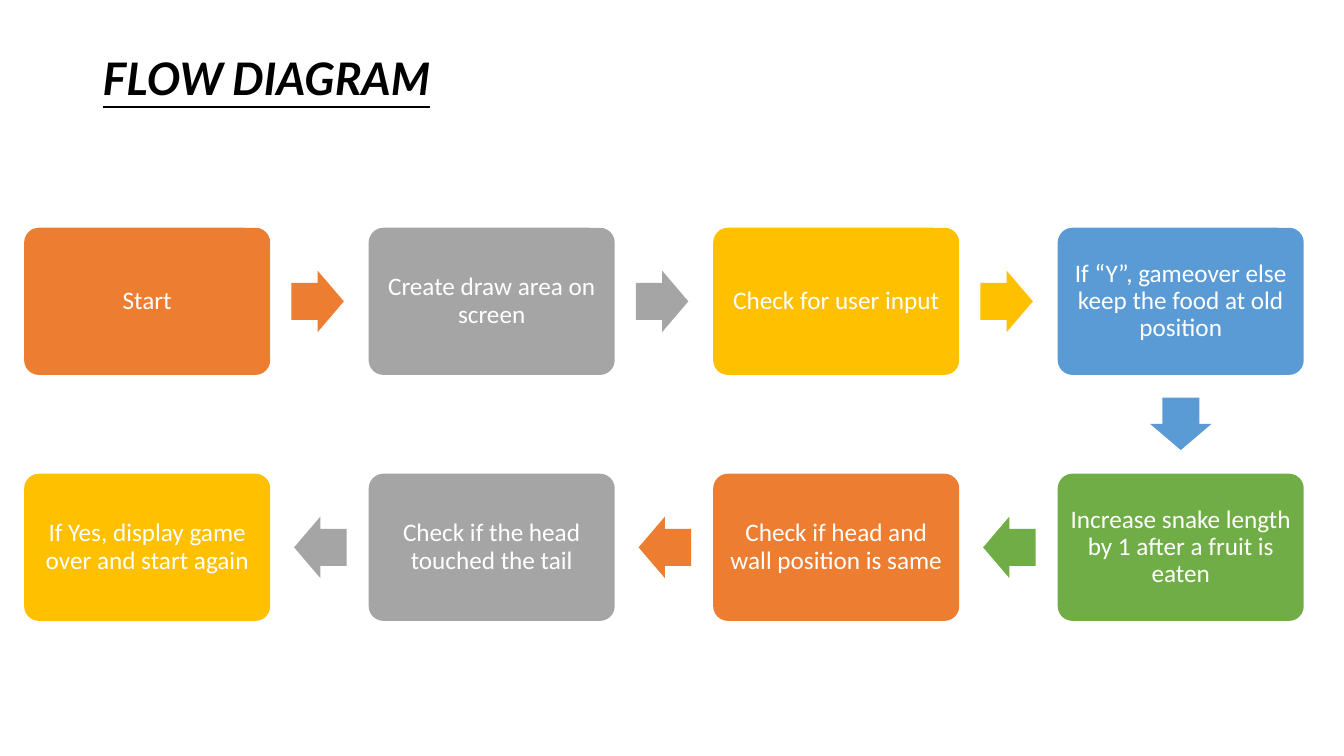
"""Build the flow diagram slide: eight steps that run right, down, then back left."""
from pptx import Presentation
from pptx import util as u
from pptx.dml import color
from pptx.enum import shapes, text

COLORS = {
    "orange": "ED7D31", "gray": "A5A5A5", "gold": "FFC000",
    "blue": "5B9BD5", "green": "70AD47", "white": "FFFFFF", "black": "000000",
}
STEPS = [
    ("Start", "orange"),
    ("Create draw area on screen", "gray"),
    ("Check for user input", "gold"),
    ("If “Y”, gameover else keep the food at old position", "blue"),
    ("Increase snake length by 1 after a fruit is eaten", "green"),
    ("Check if head and wall position is same", "orange"),
    ("Check if the head touched the tail", "gray"),
    ("If Yes, display game over and start again", "gold"),
]
COLUMNS = 4
LEFT, TOP = 0.24, 2.26
COLUMN_STEP, ROW_STEP = 3.417, 2.44
STEP_W, STEP_H = 2.44, 1.46
ARROW_W, ARROW_H = 0.52, 0.61


def add_filled(kind, left, top, width, height, fill, adjustments):
    filled = slide.shapes.add_shape(
        kind, u.Inches(left), u.Inches(top), u.Inches(width), u.Inches(height))
    filled.shadow.inherit = False
    filled.fill.solid()
    filled.fill.fore_color.rgb = color.RGBColor.from_string(COLORS[fill])
    filled.line.fill.background()
    for index, value in enumerate(adjustments):
        filled.adjustments[index] = value
    return filled


def write(frame, words, font_name, size, ink):
    frame.word_wrap = True
    frame.vertical_anchor = text.MSO_ANCHOR.MIDDLE
    frame.text = words
    paragraph = frame.paragraphs[0]
    paragraph.line_spacing = 0.9
    font = paragraph.runs[0].font
    font.name = font_name
    font.size = u.Pt(size)
    font.color.rgb = color.RGBColor.from_string(COLORS[ink])
    return paragraph


deck = Presentation()
deck.slide_width, deck.slide_height = u.Inches(13.33), u.Inches(7.5)
slide = deck.slides.add_slide(deck.slide_layouts[6])

heading = slide.shapes.add_textbox(
    u.Inches(0.92), u.Inches(0.4), u.Inches(11.5), u.Inches(0.81))
heading_font = write(heading.text_frame, "FLOW DIAGRAM", "Lato", 32, "black").runs[0].font
heading_font.bold = heading_font.italic = heading_font.underline = True

for number, (words, fill) in enumerate(STEPS):
    row, place = divmod(number, COLUMNS)
    column = COLUMNS - 1 - place if row else place
    left = LEFT + column * COLUMN_STEP
    top = TOP + row * ROW_STEP
    step = add_filled(shapes.MSO_SHAPE.ROUNDED_RECTANGLE,
                      left, top, STEP_W, STEP_H, fill, [0.1])
    frame = step.text_frame
    frame.margin_left = frame.margin_right = u.Inches(0.07)
    frame.margin_top = frame.margin_bottom = u.Inches(0.07)
    write(frame, words, "Calibri", 18, "white").alignment = text.PP_ALIGN.CENTER

    if number == len(STEPS) - 1:
        continue
    arrow_left, arrow_top = left + 2.65, top + (STEP_H - ARROW_H) / 2
    turn = 0
    if row:
        arrow_left, turn = left - 0.74, 180
    elif place == COLUMNS - 1:
        arrow_left, arrow_top, turn = left + (STEP_W - ARROW_W) / 2, top + 1.64, 90
    arrow = add_filled(shapes.MSO_SHAPE.RIGHT_ARROW,
                       arrow_left, arrow_top, ARROW_W, ARROW_H, fill, [0.6, 0.5])
    arrow.rotation = turn

deck.save("out.pptx")
